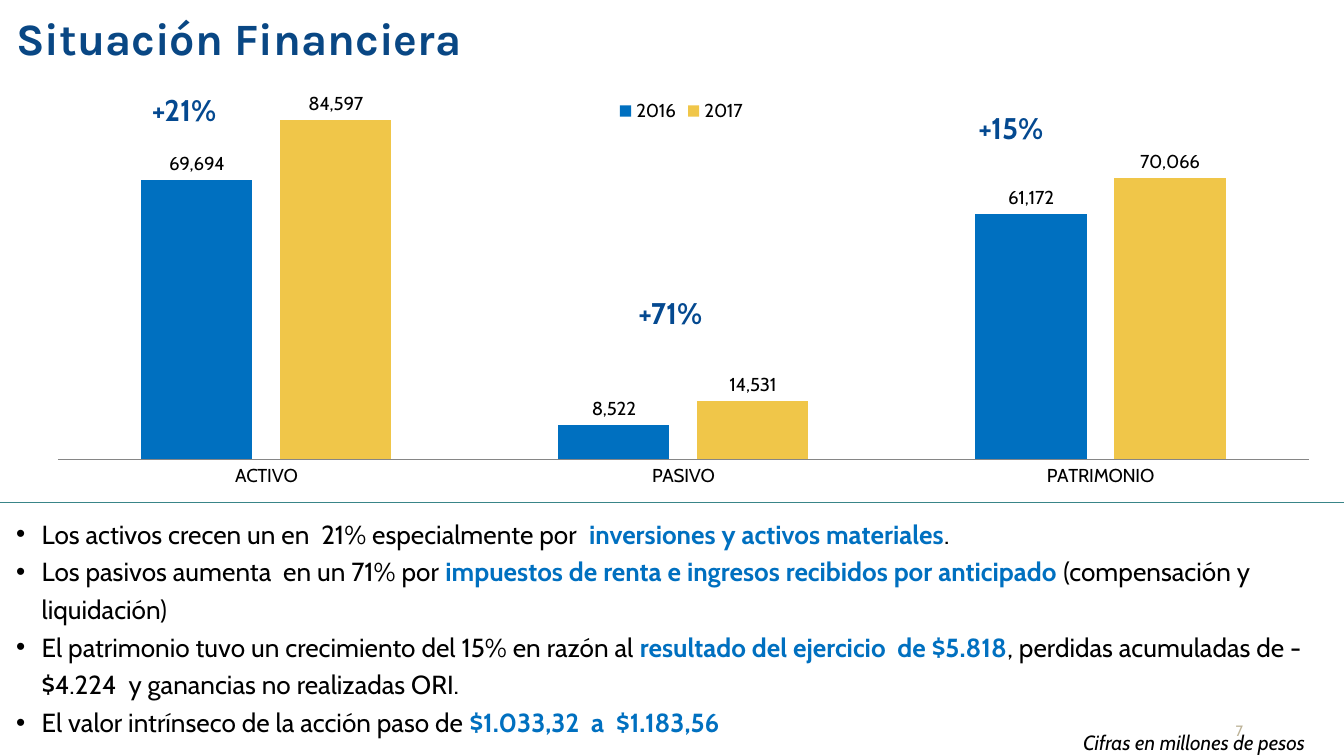
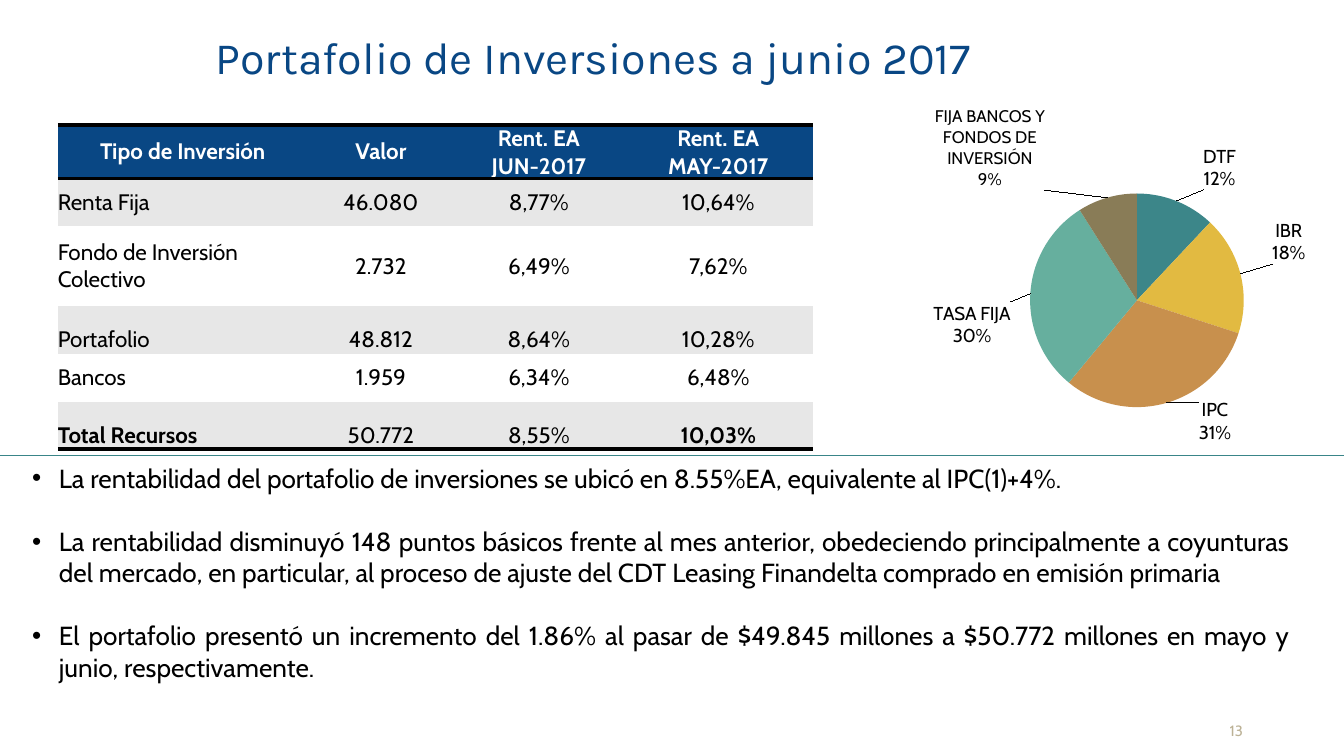
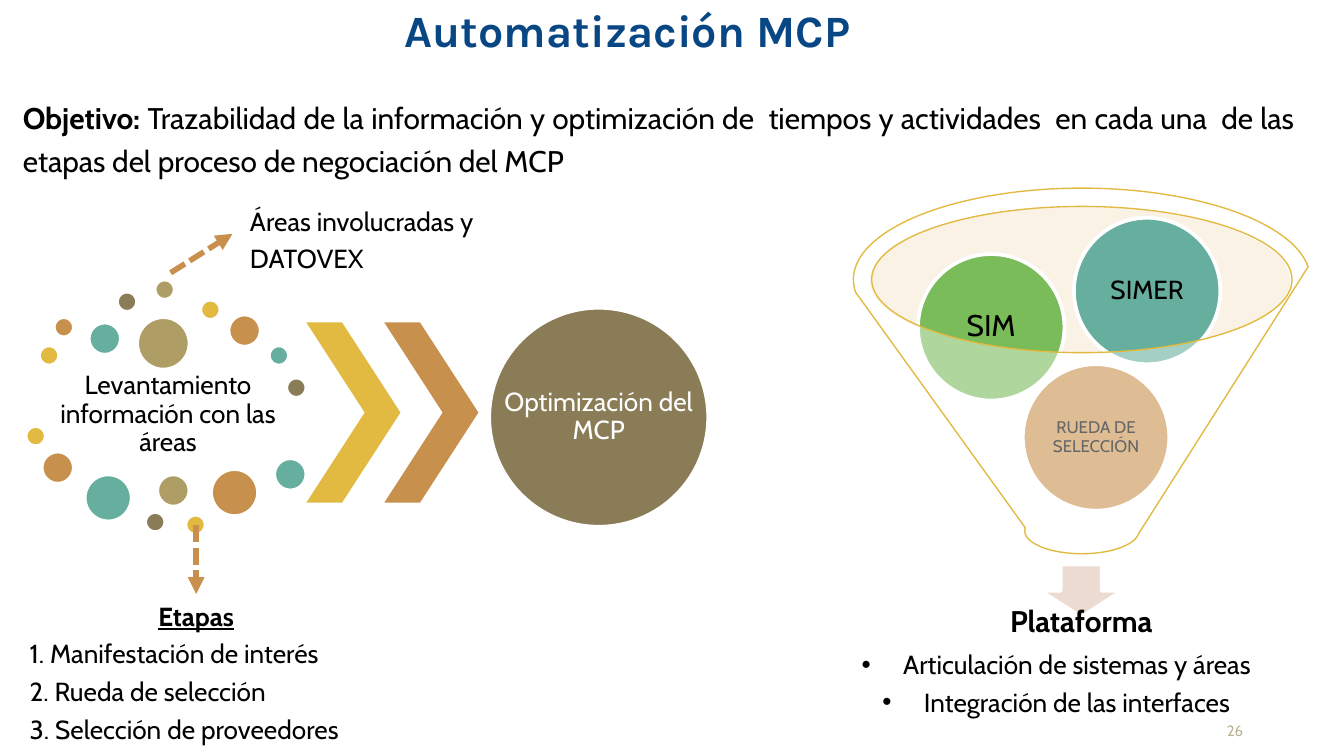
from dataclasses import dataclass
from typing import NamedTuple

from pptx import Presentation
from pptx import oxml
from pptx import util as u
from pptx.chart import data as chart_data
from pptx.dml import color
from pptx.enum import chart as charts
from pptx.enum import dml, shapes, text
from pptx.oxml import ns

COLORS = {
    "navy": "094784", "growth": "044990", "blue": "0070C0", "gold": "F0C649",
    "rule": "398588", "number": "BCB296", "black": "000000", "white": "FFFFFF",
    "stripe": "E7E7E7", "axis": "868686", "teal": "3C8689", "yellow": "E2BA41",
    "orange": "C8904D", "mint": "66AF9E", "brown": "897C57", "khaki": "AF9D66",
    "green": "7BBC5A", "cream": "F1E0C0", "blush": "EBDBD0", "arrow": "C98F4C",
}
LEFT, CENTER, RIGHT, JUSTIFY = (
    text.PP_ALIGN.LEFT, text.PP_ALIGN.CENTER, text.PP_ALIGN.RIGHT, text.PP_ALIGN.JUSTIFY)
TOP, MIDDLE, BOTTOM = (
    text.MSO_ANCHOR.TOP, text.MSO_ANCHOR.MIDDLE, text.MSO_ANCHOR.BOTTOM)
OVAL = shapes.MSO_SHAPE.OVAL


class Area(NamedTuple):
    left: float
    top: float
    width: float
    height: float

    def lengths(self) -> list:
        return [u.Inches(value) for value in self]


class Span(NamedTuple):
    words: str
    color: str = "black"
    bold: bool = False
    italic: bool = False
    underline: bool = False


@dataclass
class Para:
    spans: list
    size: float = 14
    align: text.PP_ALIGN = LEFT
    spacing: float = 1.0
    before: float = 0
    bullet: float = 0
    font: str = "Cabin"


class Dot(NamedTuple):
    left: float
    top: float
    size: float
    color: str


class Label(NamedTuple):
    name: str
    share: int
    color: str
    shift_x: float
    shift_y: float
    size: int = 10


def rgb(name: str) -> color.RGBColor:
    return color.RGBColor.from_string(COLORS[name])


def write(frame, paras: list, anchor=TOP, margins=(0, 0)) -> None:
    frame.word_wrap = True
    frame.vertical_anchor = anchor
    frame.margin_left = frame.margin_right = u.Inches(margins[0])
    frame.margin_top = frame.margin_bottom = u.Inches(margins[1])
    for index, item in enumerate(paras):
        para = frame.paragraphs[0] if index == 0 else frame.add_paragraph()
        if item.bullet:
            properties = para._p.get_or_add_pPr()
            properties.set("marL", str(u.Inches(item.bullet)))
            properties.set("indent", str(-u.Inches(item.bullet)))
            for mark in ('buFont {} typeface="Arial"', 'buChar {} char="•"'):
                properties.append(oxml.parse_xml(f'<a:{mark.format(ns.nsdecls("a"))}/>'))
        para.alignment = item.align
        para.line_spacing = item.spacing
        if item.before:
            para.space_before = u.Pt(item.before)
        for part in item.spans:
            for position, line in enumerate(part.words.split("\v")):
                if position:
                    para.add_line_break()
                span = para.add_run()
                span.text = line
                font = span.font
                font.name, font.size = item.font, u.Pt(item.size)
                font.bold, font.italic, font.underline = part.bold, part.italic, part.underline
                font.color.rgb = rgb(part.color)


def add_text(page, area: Area, paras: list, anchor=TOP, margins=(0, 0)) -> None:
    box = page.shapes.add_textbox(*area.lengths())
    write(box.text_frame, paras, anchor, margins)


def add_title(page, area: Area, words: str, align=CENTER, bold=True, anchor=MIDDLE) -> None:
    para = Para([Span(words, "navy", bold)], 24, align, 0.85, font="Karla")
    add_text(page, area, [para], anchor)


def add_page(deck, number: int):
    page = deck.slides.add_slide(deck.slide_layouts[6])
    para = Para([Span(str(number), "number")], 8, RIGHT)
    add_text(page, Area(8.93, 5.37, 0.32, 0.13), [para], BOTTOM)
    return page


def add_shape(page, kind, area: Area, fill: str, outline: str = "", width=2.0, alpha=100):
    shape = page.shapes.add_shape(kind, *area.lengths())
    shape.shadow.inherit = False
    shape.fill.solid()
    shape.fill.fore_color.rgb = rgb(fill)
    if alpha < 100:
        tone = shape.fill._xPr.find(f'{ns.qn("a:solidFill")}/{ns.qn("a:srgbClr")}')
        tone.append(oxml.parse_xml(f'<a:alpha {ns.nsdecls("a")} val="{alpha * 1000}"/>'))
    if outline:
        shape.line.color.rgb = rgb(outline)
        shape.line.width = u.Pt(width)
    else:
        shape.line.fill.background()
    return shape


def add_line(page, start: tuple, end: tuple, tone: str, width: float, arrow=False) -> None:
    points = [u.Inches(value) for value in (*start, *end)]
    line = page.shapes.add_connector(shapes.MSO_CONNECTOR.STRAIGHT, *points)
    line.line.color.rgb = rgb(tone)
    line.line.width = u.Pt(width)
    if arrow:
        line.line.dash_style = dml.MSO_LINE.SQUARE_DOT
        head = oxml.parse_xml(f'<a:tailEnd {ns.nsdecls("a")} type="triangle"/>')
        line.line._get_or_add_ln().append(head)
    line._element.spPr.append(oxml.parse_xml(f'<a:effectLst {ns.nsdecls("a")}/>'))


def add_rule(page, top: float) -> None:
    add_line(page, (0, top), (10, top), "rule", 0.75)


def add_chart(page, kind, area: Area, data, plot: Area):
    chart = page.shapes.add_chart(kind, *area.lengths(), data).chart
    chart.has_title = False
    chart.font.name, chart.font.size = "Cabin", u.Pt(10)
    chart.font.color.rgb = rgb("black")
    whole = (area.width, area.height) * 2
    places = "".join(
        f'<c:{tag} val="{part / full}"/>' for tag, part, full in zip("xywh", plot, whole))
    layout = oxml.parse_xml(
        f'<c:layout {ns.nsdecls("c")}><c:manualLayout><c:layoutTarget val="inner"/>'
        f'<c:xMode val="edge"/><c:yMode val="edge"/>{places}</c:manualLayout></c:layout>')
    plot_area = chart._chartSpace.chart.plotArea
    for old in plot_area.findall(ns.qn("c:layout")):
        plot_area.remove(old)
    plot_area.insert(0, layout)
    return chart


def add_balance_chart(page) -> None:
    data = chart_data.CategoryChartData(number_format="#,##0")
    data.categories = ["ACTIVO", "PASIVO", "PATRIMONIO"]
    data.add_series("2016", (69694, 8522, 61172))
    data.add_series("2017", (84597, 14531, 70066))
    chart = add_chart(page, charts.XL_CHART_TYPE.COLUMN_CLUSTERED,
                      Area(0.26, 0.63, 9.62, 3.11), data, Area(0.17, 0.1, 9.31, 2.69))
    chart.has_legend = True
    chart.legend.position = charts.XL_LEGEND_POSITION.TOP
    chart.legend.include_in_layout = False
    values, categories = chart.value_axis, chart.category_axis
    values.visible = values.has_major_gridlines = False
    values.minimum_scale, values.maximum_scale = 0, 90000
    categories.major_tick_mark = charts.XL_TICK_MARK.NONE
    categories.format.line.color.rgb = rgb("axis")
    plot = chart.plots[0]
    plot.gap_width, plot.overlap, plot.vary_by_categories = 150, -25, False
    for series, tone in zip(plot.series, ("blue", "gold")):
        series.format.fill.solid()
        series.format.fill.fore_color.rgb = rgb(tone)
        labels = series.data_labels
        labels.show_value = True
        labels.number_format, labels.number_format_is_linked = "#,##0", False
        labels.position = charts.XL_LABEL_POSITION.OUTSIDE_END


def add_rate_chart(page) -> None:
    rates = [
        Label("DTF", 12, "teal", 0.04, -0.01),
        Label("IBR", 18, "yellow", 0.04, -0.02),
        Label("IPC", 31, "orange", 0.05, -0.03),
        Label("TASA FIJA", 30, "mint", -0.02, 0.08),
        Label("FIJA BANCOS Y FONDOS DE INVERSIÓN", 9, "brown", -0.1, 0, 9),
    ]
    data = chart_data.CategoryChartData(number_format="0")
    data.categories = [rate.name for rate in rates]
    data.add_series("Series 1", [rate.share for rate in rates])
    chart = add_chart(page, charts.XL_CHART_TYPE.PIE, Area(6.05, 0.64, 4.47, 2.89),
                      data, Area(1.61, 0.8, 1.6, 1.59))
    chart.has_legend = False
    series = chart.plots[0].series[0]
    labels = series.data_labels
    labels.show_category_name = labels.show_percentage = True
    labels.show_value = False
    labels.number_format, labels.number_format_is_linked = "0%", False
    labels.position = charts.XL_LABEL_POSITION.OUTSIDE_END
    separator = f'<c:separator {ns.nsdecls("c")}>\n</c:separator>'
    labels._element.find(ns.qn("c:showBubbleSize")).addnext(oxml.parse_xml(separator))
    for index, rate in enumerate(rates):
        fill = series.points[index].format.fill
        fill.solid()
        fill.fore_color.rgb = rgb(rate.color)
        labels._element.insert(index, oxml.parse_xml(
            f'<c:dLbl {ns.nsdecls("c", "a")}><c:idx val="{index}"/><c:layout><c:manualLayout>'
            f'<c:x val="{rate.shift_x}"/><c:y val="{rate.shift_y}"/>'
            '</c:manualLayout></c:layout><c:numFmt formatCode="0%" sourceLinked="0"/>'
            '<c:spPr/><c:txPr><a:bodyPr/><a:p><a:pPr>'
            f'<a:defRPr sz="{rate.size * 100}" b="0"><a:solidFill>'
            f'<a:srgbClr val="{COLORS["black"]}"/></a:solidFill><a:latin typeface="Cabin"/>'
            '</a:defRPr></a:pPr></a:p></c:txPr>'
            '<c:dLblPos val="outEnd"/><c:showLegendKey val="0"/><c:showVal val="0"/>'
            '<c:showCatName val="1"/><c:showSerName val="0"/><c:showPercent val="1"/>'
            '<c:showBubbleSize val="0"/><c:separator>\n</c:separator></c:dLbl>'))


def add_border(cell, side: str) -> None:
    cell._tc.get_or_add_tcPr().append(oxml.parse_xml(
        f'<a:ln{side} {ns.nsdecls("a")} w="{u.Pt(2)}"><a:solidFill>'
        f'<a:srgbClr val="{COLORS["black"]}"/></a:solidFill></a:ln{side}>'))


def add_investment_table(page) -> None:
    rows = [
        ("Tipo de Inversión", "Valor", "Rent. EA\vJUN-2017", "Rent. EA\nMAY-2017"),
        ("Renta Fija", "46.080", "8,77%", "10,64%"),
        ("Fondo de Inversión Colectivo", "2.732", "6,49%", "7,62%"),
        ("Portafolio", "48.812", "8,64%", "10,28%"),
        ("Bancos", "1.959", "6,34%", "6,48%"),
        ("Total Recursos", "50.772", "8,55%", "10,03%"),
    ]
    area = Area(0.43, 0.93, 5.62, 2.41)
    table = page.shapes.add_table(len(rows), len(rows[0]), *area.lengths()).table
    table.horz_banding = False
    style = table._tbl.tblPr.find(ns.qn("a:tableStyleId"))
    style.text = "{2D5ABB26-0587-4C30-8999-92F81FD0307C}"
    for column, width in zip(table.columns, (1.86, 1.09, 1.26, 1.41)):
        column.width = u.Inches(width)
    for row, height in zip(table.rows, (0.4, 0.35, 0.6, 0.35, 0.36, 0.35)):
        row.height = u.Inches(height)
    last = len(rows) - 1
    for r, row in enumerate(rows):
        for c, words in enumerate(row):
            cell = table.cell(r, c)
            header = r == 0
            if header:
                add_border(cell, "T")
            if r in (0, last):
                add_border(cell, "B")
            cell.fill.solid()
            cell.fill.fore_color.rgb = rgb("navy" if header else "stripe" if r % 2 else "white")
            bold = header or (r == last and c in (0, 3))
            tone = "white" if header else "black"
            align = LEFT if c == 0 and not header else CENTER
            write(cell.text_frame, [Para([Span(line, tone, bold)], 12, align)
                                    for line in words.split("\n")])
            cell.vertical_anchor = BOTTOM if r in (3, last) else MIDDLE
            cell.margin_left = cell.margin_right = cell.margin_top = cell.margin_bottom = 0


def build_finances(deck) -> None:
    page = add_page(deck, 7)
    add_rule(page, 3.74)
    add_text(page, Area(7.96, 5.38, 2.41, 0.19),
             [Para([Span("Cifras en millones de pesos", italic=True)], 11)], TOP, (0.1, 0.05))
    add_title(page, Area(0.12, 0, 8.01, 0.63), "Situación Financiera", LEFT)
    for left, top, growth in ((1.13, 0.63, "+21%"), (7.28, 0.76, "+15%"), (4.75, 2.14, "+71%")):
        add_text(page, Area(left, top, 0.7, 0.32),
                 [Para([Span(growth, "growth", True)], 16, spacing=1.2)])
    findings = [
        [Span("Los activos crecen un en  21% especialmente por  "),
         Span("inversiones y activos materiales", "blue", True), Span(".")],
        [Span("Los pasivos aumenta  en un 71% por "),
         Span("impuestos de renta e ingresos recibidos por anticipado ", "blue", True),
         Span("(compensación y liquidación)")],
        [Span("El patrimonio tuvo un crecimiento del 15% en razón al "),
         Span("resultado del ejercicio  de $5.818", "blue", True),
         Span(", perdidas acumuladas de - $4.224  y ganancias no realizadas ORI.")],
        [Span("El valor intrínseco de la acción paso de "),
         Span("$1.033,32  a  $1.183,56", "blue", True)],
    ]
    add_text(page, Area(0.12, 3.81, 9.76, 1.94),
             [Para(spans, align=LEFT if index else JUSTIFY, spacing=1.2, bullet=0.19)
              for index, spans in enumerate(findings)])
    add_balance_chart(page)


def build_portfolio(deck) -> None:
    page = add_page(deck, 13)
    add_title(page, Area(0.76, 0.13, 7.31, 0.64),
              "Portafolio de Inversiones a junio 2017", bold=False)
    notes = [
        "La rentabilidad del portafolio de inversiones se ubicó en 8.55%EA, "
        "equivalente al IPC(1)+4%.",
        "La rentabilidad disminuyó 148 puntos básicos frente al mes anterior, obedeciendo "
        "principalmente a coyunturas del mercado, en particular, al proceso de ajuste del "
        "CDT Leasing Finandelta comprado en emisión primaria",
        "El portafolio presentó un incremento del 1.86% al pasar de $49.845 millones a "
        "$50.772 millones en mayo y junio, respectivamente.",
    ]
    add_text(page, Area(0.14, 3.39, 9.56, 1.99),
             [Para([Span(note)], align=JUSTIFY, before=17 if index else 0, bullet=0.2)
              for index, note in enumerate(notes)], TOP, (0.1, 0.05))
    add_investment_table(page)
    add_rule(page, 3.39)
    add_rate_chart(page)


def add_circle(page, dot: Dot, words: str, size: float, tone="black") -> None:
    area = Area(dot.left, dot.top, dot.size, dot.size)
    add_shape(page, OVAL, area, dot.color, "white")
    add_text(page, area, [Para([Span(words, tone)], size, CENTER, 0.9)], MIDDLE)


def add_funnel(page) -> None:
    add_shape(page, OVAL, Area(6.47, 1.54, 3.13, 1.09), "cream", alpha=40)
    add_shape(page, shapes.MSO_SHAPE.DOWN_ARROW, Area(7.74, 4.2, 0.61, 0.39), "blush", "white")
    add_text(page, Area(6.59, 4.27, 2.91, 0.73),
             [Para([Span("Plataforma", bold=True)], 16, CENTER, 0.9)], MIDDLE, (0.12, 0.12))
    add_circle(page, Dot(7.61, 2.71, 1.09, "orange"), "RUEDA DE SELECCIÓN", 9)
    add_circle(page, Dot(6.83, 1.89, 1.09, "green"), "SIM", 16)
    add_circle(page, Dot(7.99, 1.62, 1.09, "mint"), "SIMER", 14)
    add_shape(page, shapes.MSO_SHAPE.FUNNEL, Area(6.35, 1.4, 3.4, 2.72),
              "white", "yellow", 0.75, 40)


def add_gathering(page) -> None:
    add_text(page, Area(0.29, 2.77, 1.92, 0.63),
             [Para([Span("Levantamiento información con las áreas")], 14, CENTER, 0.9)],
             MIDDLE, (0.02, 0.02))
    small, medium, large = 0.15, 0.24, 0.35
    dots = [
        Dot(0.29, 2.57, small, "yellow"), Dot(0.4, 2.36, small, "orange"),
        Dot(0.66, 2.4, medium, "mint"), Dot(0.87, 2.17, small, "brown"),
        Dot(1.15, 2.08, small, "khaki"), Dot(1.49, 2.23, small, "yellow"),
        Dot(1.7, 2.34, medium, "orange"), Dot(2, 2.57, small, "mint"),
        Dot(2.13, 2.81, small, "brown"), Dot(1.02, 2.36, 0.39, "khaki"),
        Dot(0.19, 3.17, small, "yellow"), Dot(0.31, 3.36, medium, "orange"),
        Dot(0.63, 3.53, large, "mint"), Dot(1.08, 3.81, small, "brown"),
        Dot(1.17, 3.53, medium, "khaki"), Dot(1.38, 3.83, small, "yellow"),
        Dot(1.57, 3.49, large, "orange"), Dot(2.04, 3.41, medium, "mint"),
    ]
    for dot in dots:
        add_shape(page, OVAL, Area(dot.left, dot.top, dot.size, dot.size), dot.color, "white")
    for left, tone in ((2.28, "yellow"), (2.86, "orange")):
        chevron = add_shape(page, shapes.MSO_SHAPE.CHEVRON, Area(left, 2.4, 0.7, 1.34), tone)
        chevron.adjustments[0] = 0.62
    add_circle(page, Dot(3.64, 2.29, 1.63, "brown"), "Optimización del MCP", 14, "white")


def build_automation(deck) -> None:
    page = add_page(deck, 26)
    add_title(page, Area(0.17, 0.08, 9.08, 0.75), "Automatización MCP ", anchor=TOP)
    goal = [Span("Objetivo: ", bold=True),
            Span("Trazabilidad de la información y optimización de  tiempos y actividades  "
                 "en cada una  de las etapas del proceso de negociación del MCP")]
    add_text(page, Area(0.17, 0.69, 9.47, 0.65), [Para(goal, 16, JUSTIFY, 1.2)])
    add_funnel(page)
    add_text(page, Area(6.08, 4.78, 3.56, 0.57),
             [Para([Span(words)], align=CENTER, spacing=1.2, bullet=0.31)
              for words in ("Articulación de sistemas y áreas", "Integración de las interfaces")])
    add_gathering(page)
    stages = ("1. Manifestación de interés", "2. Rueda de selección",
              "3. Selección de proveedores")
    heading = Para([Span("Etapas", bold=True, underline=True)], align=CENTER, spacing=1.2)
    add_text(page, Area(0.22, 4.42, 2.48, 1.13),
             [heading, *(Para([Span(stage)], spacing=1.2) for stage in stages)])
    add_line(page, (1.46, 3.91), (1.46, 4.42), "arrow", 3, True)
    add_text(page, Area(1.86, 1.48, 1.82, 0.57),
             [Para([Span(words)], spacing=1.2) for words in ("Áreas involucradas y", "DATOVEX")])
    add_line(page, (1.27, 2.03), (1.73, 1.74), "arrow", 3, True)


def main() -> None:
    deck = Presentation()
    deck.slide_width = u.Inches(10)
    deck.slide_height = deck.slide_width * 9 // 16
    build_finances(deck)
    build_portfolio(deck)
    build_automation(deck)
    deck.save("out.pptx")


if __name__ == "__main__":
    main()
